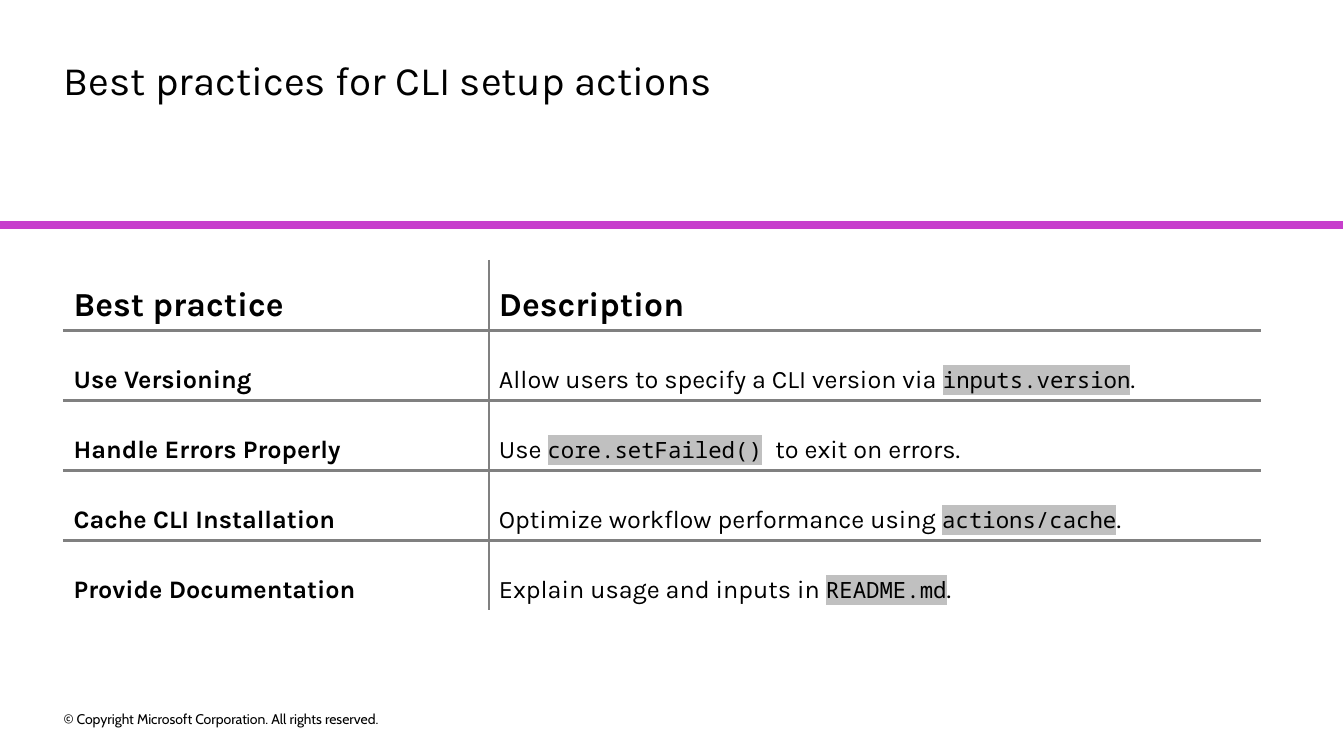
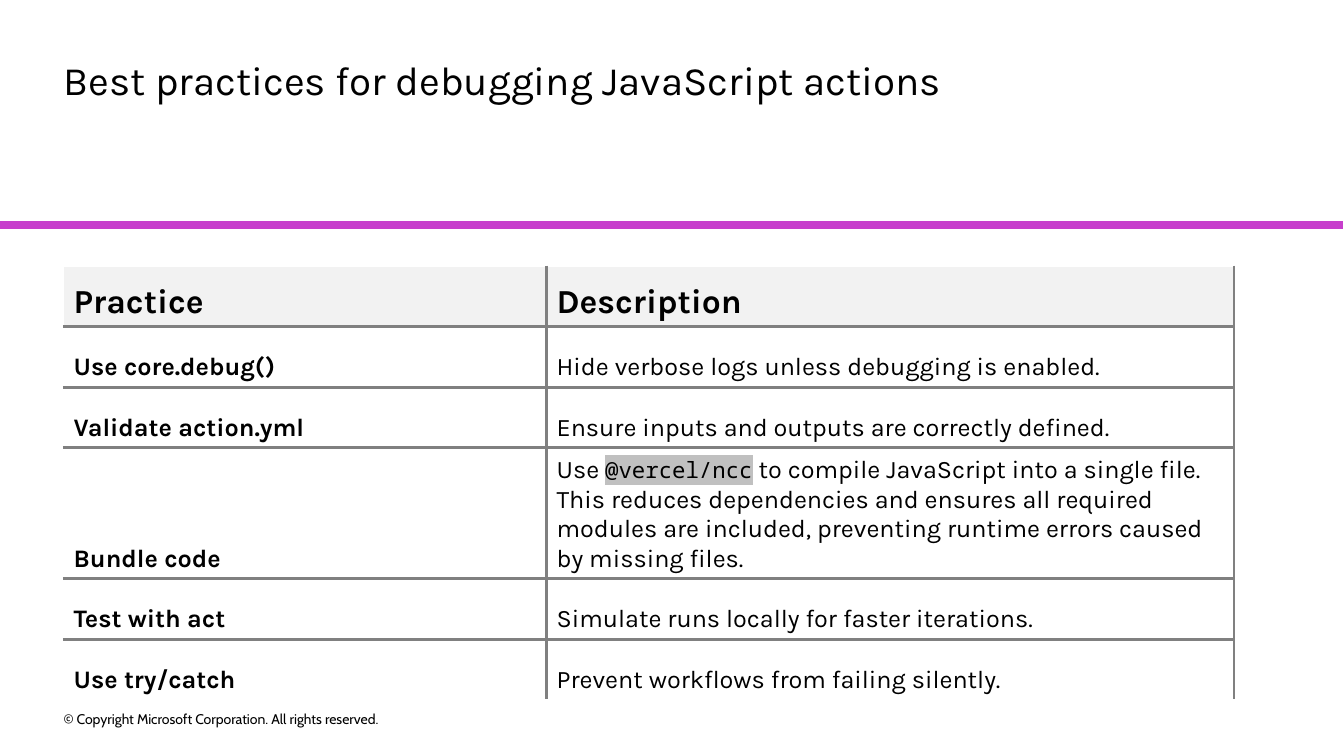
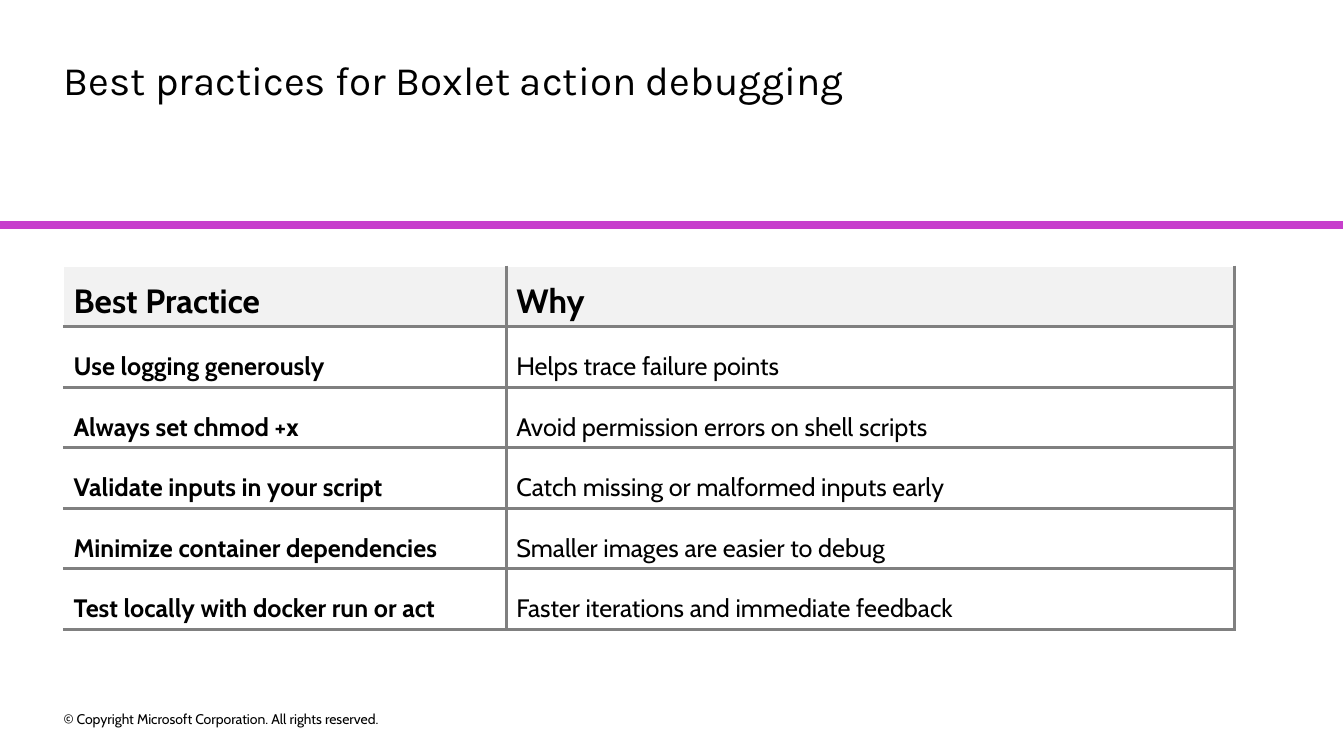
from lxml.etree import SubElement
from pptx import Presentation
from pptx.dml.color import RGBColor
from pptx.enum.shapes import MSO_CONNECTOR
from pptx.enum.text import MSO_ANCHOR, MSO_AUTO_SIZE, PP_ALIGN
from pptx.oxml import parse_xml
from pptx.oxml.ns import nsdecls, qn
from pptx.util import Pt

COLORS = {
    "text": "000000",
    "band": "C73ECC",
    "rule": "808080",
    "blank": "FFFFFF",
    "header": "F2F2F2",
    "code": "C0C0C0",
}
LEFT = 45.4
RULE = ("rule", 2.25)
BLANK = ("blank", 1)


class Deck:
    def __init__(self):
        self.deck = Presentation()
        self.deck.slide_width = Pt(960)
        self.deck.slide_height = Pt(540)
        self.page = None

    def add_page(self, title):
        self.page = self.deck.slides.add_slide(self.deck.slide_layouts[5])
        self.add_band()
        self.add_title(title)
        self.add_footer("© Copyright Microsoft Corporation. All rights reserved.")

    def add_span(self, para, text, size, font, bold=False, highlight=None):
        span = para.add_run()
        span.text = text
        span.font.size = Pt(size)
        span.font.bold = bold
        span.font.color.rgb = RGBColor.from_string(COLORS["text"])
        if highlight:
            mark = parse_xml(
                f'<a:highlight {nsdecls("a")}><a:srgbClr val="{COLORS[highlight]}"/></a:highlight>'
            )
            span.font._element.find(qn("a:solidFill")).addnext(mark)
        span.font.name = font

    def add_band(self):
        band = self.page.shapes.add_connector(
            MSO_CONNECTOR.STRAIGHT, Pt(0), Pt(160.7), Pt(959), Pt(160.7)
        )
        band.line.color.rgb = RGBColor.from_string(COLORS["band"])
        band.line.width = Pt(6)
        SubElement(band._element.spPr, qn("a:effectLst"))

    def add_title(self, text):
        box = self.page.shapes.title
        box.left, box.top, box.width, box.height = Pt(38.2), Pt(46.8), Pt(796), Pt(24.5)
        frame = box.text_frame
        frame.word_wrap = True
        frame.auto_size = MSO_AUTO_SIZE.NONE
        frame.vertical_anchor = MSO_ANCHOR.MIDDLE
        para = frame.paragraphs[0]
        para.alignment = PP_ALIGN.LEFT
        para.line_spacing = 0.9
        self.add_span(para, text, 28.8, "Karla")

    def add_footer(self, text):
        box = self.page.shapes.add_textbox(Pt(LEFT), Pt(505.5), Pt(327), Pt(16))
        frame = box.text_frame
        frame.word_wrap = True
        frame.vertical_anchor = MSO_ANCHOR.MIDDLE
        frame.margin_left = frame.margin_right = frame.margin_top = frame.margin_bottom = 0
        self.add_span(frame.paragraphs[0], text, 10, "Cabin")

    def set_borders(self, cell, borders):
        properties = cell._tc.get_or_add_tcPr()
        for side, (color, width) in zip("LRTB", borders):
            line = SubElement(properties, qn(f"a:ln{side}"), w=str(Pt(width)))
            fill = SubElement(line, qn("a:solidFill"))
            SubElement(fill, qn("a:srgbClr"), val=COLORS[color])

    def add_table(self, rows, top, widths, heights, font="Karla",
                  header_fill=None, right_edge=RULE, bottom_edge=BLANK):
        last_row, last_column = len(rows) - 1, len(widths) - 1
        table = self.page.shapes.add_table(
            len(rows), len(widths), Pt(LEFT), Pt(top), Pt(sum(widths)), Pt(sum(heights))
        ).table
        table.first_row = table.horz_banding = False
        for column, width in zip(table.columns, widths):
            column.width = Pt(width)
        for row, height in zip(table.rows, heights):
            row.height = Pt(height)
        styles = {
            "head": dict(size=24, font=font, bold=True),
            "label": dict(size=18, font=font, bold=True),
            "body": dict(size=18, font=font),
            "code": dict(size=16, font="Noto Sans Mono", highlight="code"),
            "gap": dict(size=16, font="Noto Sans Mono"),
        }
        for r, values in enumerate(rows):
            for c, value in enumerate(values):
                cell = table.cell(r, c)
                cell.vertical_anchor = MSO_ANCHOR.BOTTOM
                self.set_borders(cell, (
                    RULE if c else BLANK,
                    right_edge if c == last_column else RULE,
                    RULE if r else BLANK,
                    bottom_edge if r == last_row else RULE,
                ))
                if r == 0 and header_fill:
                    cell.fill.solid()
                    cell.fill.fore_color.rgb = RGBColor.from_string(COLORS[header_fill])
                else:
                    cell.fill.background()
                base = "head" if r == 0 else "body" if c else "label"
                spans = [(base, value)] if isinstance(value, str) else value
                for style, text in spans:
                    self.add_span(cell.text_frame.paragraphs[0], text, **styles[style])


def main():
    slides = Deck()

    slides.add_page("Best practices for CLI setup actions")
    slides.add_table(
        [
            ("Best practice", "Description"),
            ("Use Versioning", [
                ("body", "Allow users to specify a CLI version via "),
                ("code", "inputs.version"), ("body", "."),
            ]),
            ("Handle Errors Properly", [
                ("body", "Use "), ("code", "core.setFailed()"),
                ("gap", " "), ("body", "to exit on errors."),
            ]),
            ("Cache CLI Installation", [
                ("body", "Optimize workflow performance using "),
                ("code", "actions/cache"), ("body", "."),
            ]),
            ("Provide Documentation", [
                ("body", "Explain usage and inputs in "),
                ("code", "README.md"), ("body", "."),
            ]),
        ],
        top=186, widths=(303.8, 551), heights=[50] * 5, right_edge=BLANK,
    )

    slides.add_page("Best practices for debugging JavaScript actions")
    slides.add_table(
        [
            ("Practice", "Description"),
            ("Use core.debug()", "Hide verbose logs unless debugging is enabled."),
            ("Validate action.yml", "Ensure inputs and outputs are correctly defined."),
            ("Bundle code", [
                ("body", "Use "), ("code", "@vercel/ncc"),
                ("body", " to compile JavaScript into a single file. This reduces "
                         "dependencies and ensures all required modules are included, "
                         "preventing runtime errors caused by missing files."),
            ]),
            ("Test with act", "Simulate runs locally for faster iterations."),
            ("Use try/catch", "Prevent workflows from failing silently."),
        ],
        top=190.2, widths=(345, 491), heights=[43.2] * 3 + [91] + [43.2] * 2,
        header_fill="header",
    )

    slides.add_page("Best practices for Boxlet action debugging")
    slides.add_table(
        [
            ("Best Practice", "Why"),
            ("Use logging generously", "Helps trace failure points"),
            ("Always set chmod +x", "Avoid permission errors on shell scripts"),
            ("Validate inputs in your script", "Catch missing or malformed inputs early"),
            ("Minimize container dependencies", "Smaller images are easier to debug"),
            ("Test locally with docker run or act", "Faster iterations and immediate feedback"),
        ],
        top=190.2, widths=(316.2, 520), heights=[43.2] * 6, font="Cabin",
        header_fill="header", bottom_edge=RULE,
    )

    slides.deck.save("out.pptx")


if __name__ == "__main__":
    main()
